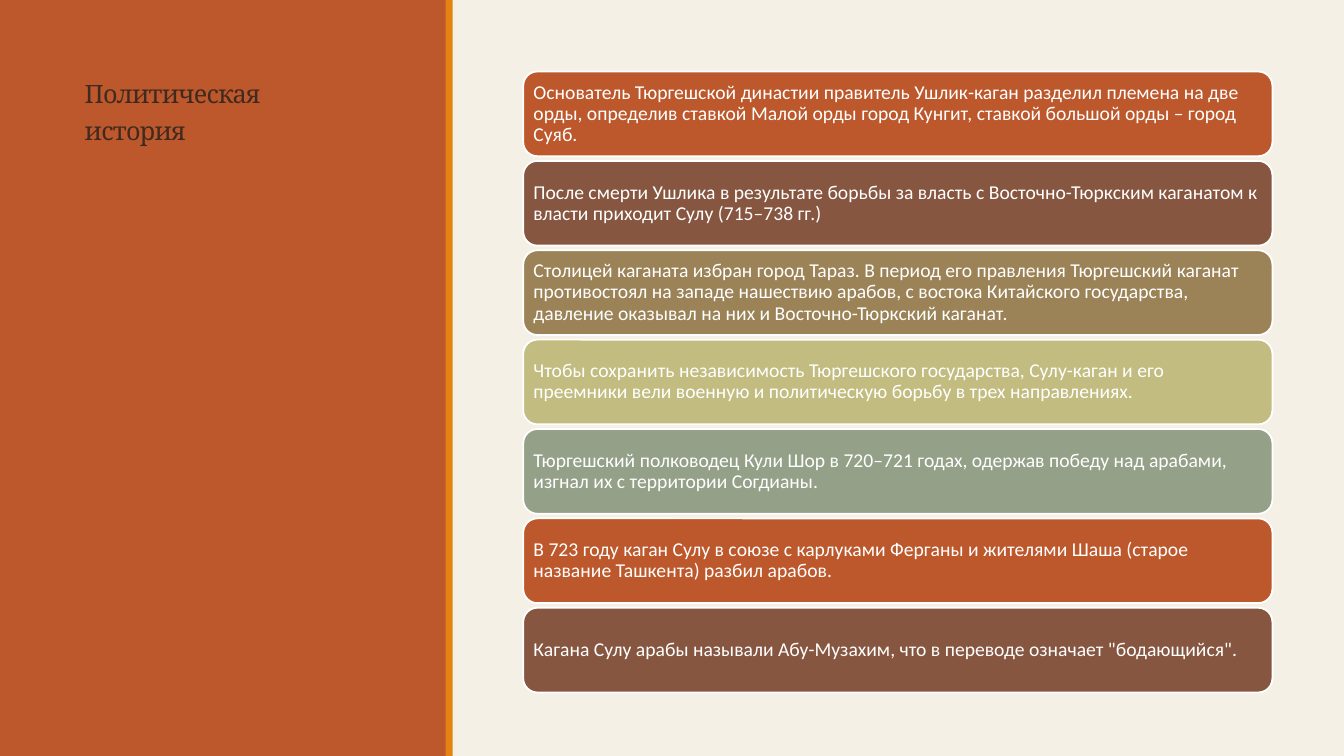
from itertools import cycle

from pptx import Presentation
from pptx.dml.color import RGBColor
from pptx.enum.shapes import MSO_SHAPE
from pptx.enum.text import MSO_ANCHOR, PP_ALIGN
from pptx.util import Inches, Pt

CREAM, RUST, ORANGE, DARK, WHITE = "F5F0E6", "BD582C", "E48312", "402A20", "FFFFFF"
CARD_COLORS = [RUST, "865640", "9B8357", "C2BC80", "94A088"]

EVENTS = [
    "Основатель Тюргешской династии правитель Ушлик-каган разделил племена на две орды, "
    "определив ставкой Малой орды город Кунгит, ставкой большой орды – город Суяб.",
    "После смерти Ушлика в результате борьбы за власть с Восточно-Тюркским каганатом "
    "к власти приходит Сулу (715–738 гг.)",
    "Столицей каганата избран город Тараз. В период его правления Тюргешский каганат "
    "противостоял на западе нашествию арабов, с востока Китайского государства, "
    "давление оказывал на них и Восточно-Тюркский каганат.",
    "Чтобы сохранить независимость Тюргешского государства, Сулу-каган и его преемники "
    "вели военную и политическую борьбу в трех направлениях.",
    "Тюргешский полководец Кули Шор в 720–721 годах, одержав победу над арабами, "
    "изгнал их с территории Согдианы.",
    "В 723 году каган Сулу в союзе с карлуками Ферганы и жителями Шаша "
    "(старое название Ташкента) разбил арабов.",
    "Кагана Сулу арабы называли Абу-Музахим, что в переводе означает \"бодающийся\".",
]


def rgb(value):
    return RGBColor.from_string(value)


def apply(target, formats):
    for name, value in formats.items():
        setattr(target, name, value)


class SlideBuilder:
    title_font = {"name": "Noto Serif", "size": Pt(18)}
    title_paragraph = {"line_spacing": 1.2, "space_before": Pt(3), "space_after": Pt(6)}
    card_font = {"name": "Calibri", "size": Pt(14)}
    card_paragraph = {"line_spacing": 0.9, "alignment": PP_ALIGN.LEFT}

    def __init__(self, slide, background):
        self.slide = slide
        fill = slide.background.fill
        fill.solid()
        fill.fore_color.rgb = rgb(background)

    def block(self, left, top, width, height, color, preset=MSO_SHAPE.RECTANGLE):
        block = self.slide.shapes.add_shape(
            preset, Inches(left), Inches(top), Inches(width), Inches(height))
        block.shadow.inherit = False
        block.fill.solid()
        block.fill.fore_color.rgb = rgb(color)
        block.line.fill.background()
        return block

    def add_text(self, frame, text, color, font, paragraph_format, inset_x, inset_y, anchor):
        apply(frame, {
            "word_wrap": True, "vertical_anchor": anchor,
            "margin_left": Inches(inset_x), "margin_right": Inches(inset_x),
            "margin_top": Inches(inset_y), "margin_bottom": Inches(inset_y),
        })
        paragraph = frame.paragraphs[0]
        apply(paragraph, paragraph_format)
        run = paragraph.add_run()
        run.text = text
        apply(run.font, font)
        run.font.color.rgb = rgb(color)
        return run

    def title(self, left, top, width, height, text):
        title = self.slide.shapes.add_textbox(
            Inches(left), Inches(top), Inches(width), Inches(height))
        run = self.add_text(title.text_frame, text, DARK, self.title_font,
                            self.title_paragraph, 0.3, 0.15, MSO_ANCHOR.TOP)
        # Letter spacing in hundredths of a point
        run.font._element.set("spc", "-50")

    def card(self, left, top, width, height, text, color):
        card = self.block(left, top, width, height, color, MSO_SHAPE.ROUNDED_RECTANGLE)
        card.line.color.rgb = rgb(WHITE)
        card.line.width = Pt(1.25)
        self.add_text(card.text_frame, text, WHITE, self.card_font,
                      self.card_paragraph, 0.06, 0.06, MSO_ANCHOR.MIDDLE)


def main():
    presentation = Presentation()
    presentation.slide_width = Inches(13.33)
    presentation.slide_height = Inches(7.5)
    slide = presentation.slides.add_slide(presentation.slide_layouts[6])
    builder = SlideBuilder(slide, CREAM)

    # Side panel with the title
    builder.block(0, 0, 4.43, 7.5, RUST)
    builder.title(0.54, 0.57, 3.37, 6.31, "Политическая история")
    builder.block(4.42, 0, 0.07, 7.5, ORANGE)

    # Column of events, evenly stepped
    first_top, step = 0.71, 5.32 / 6
    for index, (event, color) in enumerate(zip(EVENTS, cycle(CARD_COLORS))):
        builder.card(5.19, first_top + index * step, 7.43, 0.84, event, color)

    presentation.save("out.pptx")


if __name__ == "__main__":
    main()
